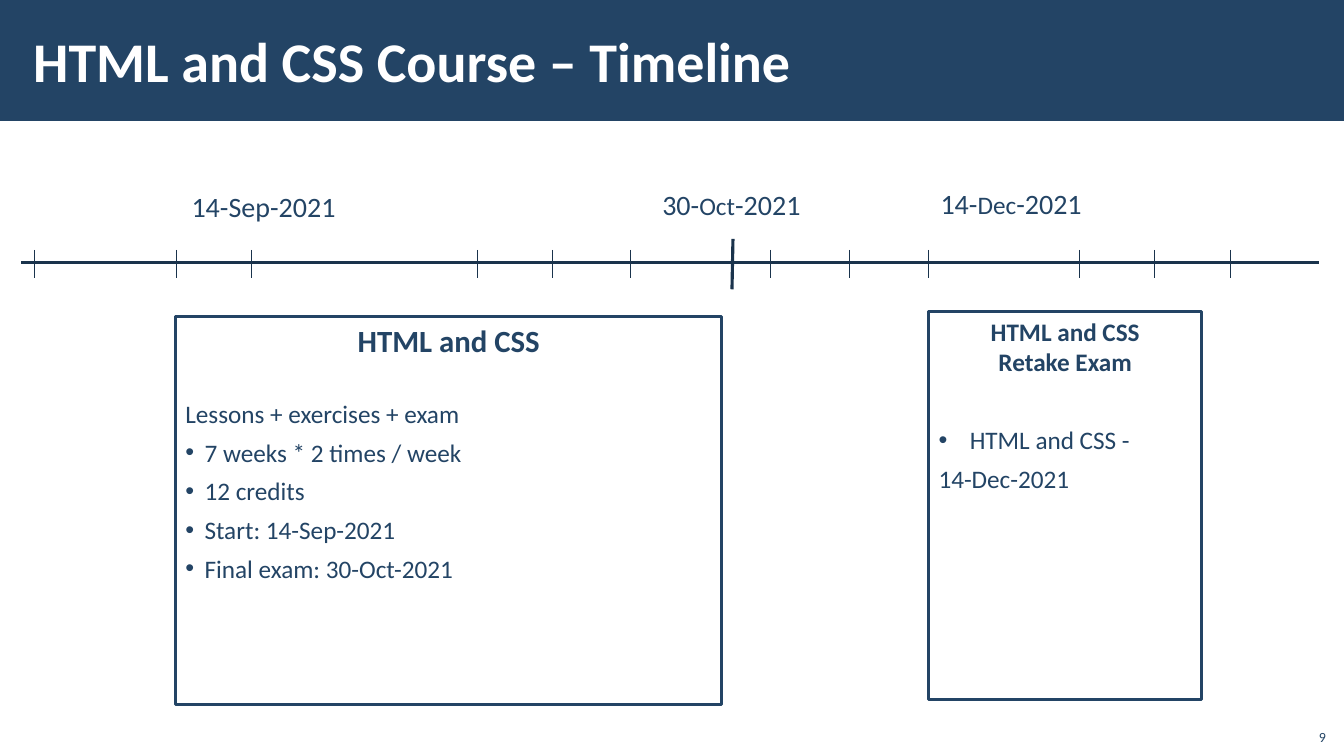
from lxml import etree
from pptx import Presentation
from pptx.dml.color import RGBColor
from pptx.enum.shapes import MSO_CONNECTOR, MSO_SHAPE
from pptx.enum.text import MSO_ANCHOR, PP_ALIGN
from pptx.oxml.ns import qn
from pptx.util import Inches, Pt

RECTANGLE = MSO_SHAPE.RECTANGLE
STRAIGHT = MSO_CONNECTOR.STRAIGHT
LEFT, CENTER, RIGHT, JUSTIFY = PP_ALIGN.LEFT, PP_ALIGN.CENTER, PP_ALIGN.RIGHT, PP_ALIGN.JUSTIFY
TOP, MIDDLE, BOTTOM = MSO_ANCHOR.TOP, MSO_ANCHOR.MIDDLE, MSO_ANCHOR.BOTTOM

COLORS = {name: RGBColor.from_string(value) for name, value in {
    "blue": "234465",
    "axis": "1A334C",
    "white": "FFFFFF",
}.items()}
FONT = "Calibri"

deck = Presentation()
deck.slide_width, deck.slide_height = Inches(13.33), Inches(7.5)
page = deck.slides.add_slide(deck.slide_layouts[6])


def style_font(font, size, color="blue", bold=False):
    font.name, font.size, font.bold = FONT, Pt(size), bold
    font.color.rgb = COLORS[color]


def add_line(x1, y1, x2, y2, width):
    line = page.shapes.add_connector(STRAIGHT, Inches(x1), Inches(y1), Inches(x2), Inches(y2))
    line.line.color.rgb = COLORS["axis"]
    line.line.width = Pt(width)
    etree.SubElement(line._element.spPr, qn("a:effectLst"))


# Title band
band = page.shapes.add_shape(RECTANGLE, 0, 0, deck.slide_width, Inches(1.2))
band.shadow.inherit = False
band.fill.solid()
band.fill.fore_color.rgb = COLORS["blue"]
band.line.fill.background()

# Title and page number: text, place, size, colour, bold, anchor, alignment, side inset
labels = [
    ("HTML and CSS Course – Timeline", (0.21, 0.11, 10.63, 0.97),
     40, "white", True, MIDDLE, LEFT, 0.12),
    ("9", (12.85, 7.12, 0.4, 0.32), 10, "blue", False, BOTTOM, RIGHT, 0.1),
]
for text, place, size, color, bold, anchor, align, inset in labels:
    box = page.shapes.add_textbox(*map(Inches, place))
    frame = box.text_frame
    frame.word_wrap = True
    frame.vertical_anchor = anchor
    frame.margin_left = frame.margin_right = Inches(inset)
    para = frame.paragraphs[0]
    para.text, para.alignment = text, align
    style_font(para.font, size, color, bold)

# Timeline axis, ticks and the exam mark
add_line(0.21, 2.6, 13.08, 2.6, 2.25)
add_line(7.27, 2.37, 7.26, 2.87, 2.25)
for x in (0.34, 1.75, 2.49, 4.73, 5.48, 6.25, 7.64, 8.42, 9.21, 10.71, 11.45, 12.2):
    add_line(x, 2.48, x, 2.76, 0.5)

# Dates above the axis: place, side inset, spans with sizes
dates = [
    ((1.78, 1.83, 1.68, 0.42), 0.12, [("14-Sep-2021", 20)]),
    ((6.47, 1.81, 1.58, 0.44), 0.1, [("30-", 20), ("Oct", 18), ("-2021", 20)]),
    ((9.23, 1.8, 1.61, 0.44), 0.1, [("14-", 20), ("Dec", 18), ("-2021", 20)]),
]
for place, inset, spans in dates:
    box = page.shapes.add_textbox(*map(Inches, place))
    frame = box.text_frame
    frame.word_wrap = False
    frame.margin_left = frame.margin_right = Inches(inset)
    para = frame.paragraphs[0]
    para.alignment = JUSTIFY
    for text, size in spans:
        span = para.add_run()
        span.text = text
        style_font(span.font, size)

# Course cards: place, heading, heading size, then lines with space before and bullet indent
cards = [
    ((1.74, 3.14, 5.42, 3.85), "HTML and CSS", 22, [
        ("Lessons + exercises + exam", 28.5, 0),
        ("7 weeks * 2 times / week", 6, 0.19),
        ("12 credits", 6, 0.19),
        ("Start: 14-Sep-2021", 6, 0.19),
        ("Final exam: 30-Oct-2021", 6, 0.19),
    ]),
    ((9.21, 3.09, 2.71, 3.85), "HTML and CSS\vRetake Exam", 18, [
        ("HTML and CSS -", 34, 0.31),
        ("14-Dec-2021", 6, 0),
    ]),
]
for place, heading, heading_size, lines in cards:
    card = page.shapes.add_shape(RECTANGLE, *map(Inches, place))
    card.shadow.inherit = False
    card.fill.solid()
    card.fill.fore_color.rgb = COLORS["white"]
    card.line.color.rgb = COLORS["blue"]
    card.line.width = Pt(2)
    frame = card.text_frame
    frame.word_wrap = True
    frame.vertical_anchor = TOP
    para = frame.paragraphs[0]
    para.text, para.alignment = heading, CENTER
    style_font(para.font, heading_size, bold=True)
    for text, space, indent in lines:
        para = frame.add_paragraph()
        para.text, para.alignment = text, LEFT
        para.space_before = Pt(space)
        if indent:
            props = para._p.get_or_add_pPr()
            props.set("marL", str(Inches(indent)))
            props.set("indent", str(-Inches(indent)))
            etree.SubElement(props, qn("a:buFont"), typeface="Arial")
            etree.SubElement(props, qn("a:buChar"), char="•")
        style_font(para.font, 18)

deck.save("out.pptx")
